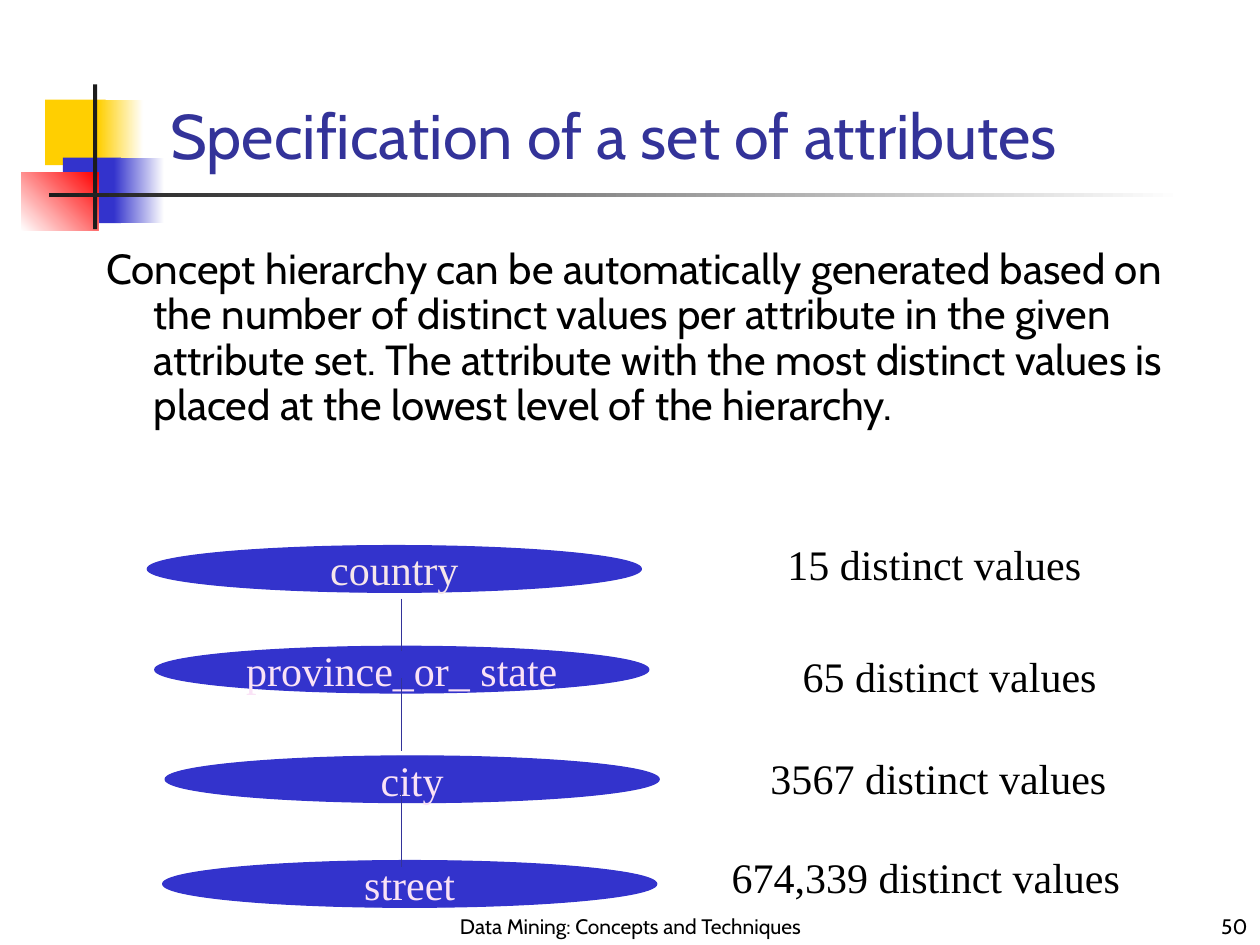
from dataclasses import dataclass

from lxml.etree import SubElement
from pptx import Presentation
from pptx.dml.color import RGBColor
from pptx.enum.shapes import MSO_CONNECTOR, MSO_SHAPE
from pptx.enum.text import MSO_ANCHOR, MSO_AUTO_SIZE, PP_ALIGN
from pptx.oxml.ns import qn
from pptx.util import Cm, Pt


@dataclass(frozen=True)
class Theme:
    sans: str = "Cabin"
    serif: str = "Times New Roman"
    title_size: int = 36
    text_size: int = 24
    footer_size: int = 12
    line_width: float = 0.75
    title: str = "333399"
    text: str = "000000"
    blue: str = "3333CC"
    yellow: str = "FFCF01"
    red: str = "FF0000"
    white: str = "FFFFFF"
    dark: str = "1C1C1C"
    pale_rose: str = "F6E6EA"
    pale_pink: str = "FAE2F6"


THEME = Theme()

# Left, top, width, height in cm; one colour is solid, two make a gradient
ORNAMENT = [
    ((0.91, 2.01, 1.22, 1.32), [THEME.yellow], 0),
    ((1.98, 2.01, 0.91, 1.32), [THEME.yellow, THEME.white], 0),
    ((1.27, 3.18, 1.17, 1.32), [THEME.blue], 0),
    ((2.29, 3.18, 1.02, 1.32), [THEME.blue, THEME.white], 0),
    ((0.43, 3.48, 1.55, 1.17), [THEME.white, THEME.red], 45),
    ((1.88, 1.7, 0.08, 2.92), [THEME.dark], 0),
    ((0.99, 3.89, 22.86, 0.08), [THEME.dark, THEME.white], 0),
]

# Attribute, left, top, text colour
LEVELS = [
    ("country", 2.97, 11, THEME.pale_rose),
    ("province_or_ state", 3.12, 13.03, THEME.pale_pink),
    ("city", 3.33, 15.24, THEME.pale_pink),
    ("street", 3.28, 17.35, THEME.pale_pink),
]
LEVEL_SIZE = (9.96, 0.94)

LINK_X = 8.1
LINKS = [(12.07, 13.13), (13.67, 15.14), (15.93, 17.48)]

# Label, left, top, width
COUNTS = [
    ("15 distinct values", 15.62, 10.74, 6.43),
    ("65 distinct values", 15.93, 12.98, 6.43),
    ("3567 distinct values", 15.29, 15.04, 7.26),
    ("674,339 distinct values", 14.5, 17.04, 8.33),
]
COUNT_HEIGHT = 1.27

BODY = (
    "Concept hierarchy can be automatically generated based on the number of "
    "distinct values per attribute in the given attribute set. The attribute "
    "with the most distinct values is placed at the lowest level of the hierarchy."
)


def lengths(box):
    return [Cm(value) for value in box]


def set_all(target, formats):
    for name, value in formats.items():
        setattr(target, name, value)


def write(sp, text, size, font, color=THEME.text, align=PP_ALIGN.LEFT,
          anchor=MSO_ANCHOR.TOP, wrap=True):
    tf = sp.text_frame
    set_all(tf, {"auto_size": MSO_AUTO_SIZE.NONE, "word_wrap": wrap,
                 "vertical_anchor": anchor})
    p = tf.paragraphs[0]
    p.alignment = align
    r = p.add_run()
    r.text = text
    set_all(r.font, {"size": Pt(size), "name": font})
    r.font.color.rgb = RGBColor.from_string(color)
    return p


def add_text(s, box, *args, **formats):
    return write(s.shapes.add_textbox(*lengths(box)), *args, **formats)


def add_title(s, text):
    sp = s.shapes.title
    set_all(sp, dict(zip(("left", "top", "width", "height"),
                         lengths((3.18, 1.9, 21.64, 1.7)))))
    write(sp, text, THEME.title_size, THEME.sans, THEME.title,
          anchor=MSO_ANCHOR.BOTTOM)


def add_bar(s, box, colors, angle):
    sp = s.shapes.add_shape(MSO_SHAPE.RECTANGLE, *lengths(box))
    sp.shadow.inherit = False
    sp.line.fill.background()
    if len(colors) == 1:
        sp.fill.solid()
        sp.fill.fore_color.rgb = RGBColor.from_string(colors[0])
        return
    sp.fill.gradient()
    sp.fill.gradient_angle = angle
    for stop, color in zip(sp.fill.gradient_stops, colors):
        stop.color.rgb = RGBColor.from_string(color)


def add_body(s, text):
    p = add_text(s, (1.9, 4.88, 21.8, 5.28), text, THEME.text_size, THEME.sans)
    p.line_spacing = 0.9
    pPr = p._p.get_or_add_pPr()
    pPr.set("marL", str(Cm(0.95)))
    pPr.set("indent", str(-Cm(0.95)))


def add_level(s, text, left, top, color):
    sp = s.shapes.add_shape(MSO_SHAPE.OVAL, *lengths((left, top, *LEVEL_SIZE)))
    sp.shadow.inherit = False
    sp.fill.solid()
    sp.fill.fore_color.rgb = RGBColor.from_string(THEME.blue)
    sp.line.color.rgb = RGBColor.from_string(THEME.blue)
    sp.line.width = Pt(THEME.line_width)
    write(sp, text, THEME.text_size, THEME.serif, color, PP_ALIGN.CENTER,
          MSO_ANCHOR.MIDDLE, wrap=False)


def add_link(s, top, bottom):
    line = s.shapes.add_connector(
        MSO_CONNECTOR.STRAIGHT, *lengths((LINK_X, top, LINK_X, bottom)))
    line.line.color.rgb = RGBColor.from_string(THEME.title)
    line.line.width = Pt(THEME.line_width)
    SubElement(line._element.spPr, qn("a:effectLst"))


def add_footer(s, text, left, width, align):
    add_text(s, (left, 17.98, width, 1.07), text, THEME.footer_size, THEME.sans,
             align=align, anchor=MSO_ANCHOR.BOTTOM)


def main():
    prs = Presentation()
    set_all(prs, {"slide_width": Cm(25.4), "slide_height": Cm(19.05)})
    s = prs.slides.add_slide(prs.slide_layouts[5])

    for bar in ORNAMENT:
        add_bar(s, *bar)
    add_footer(s, "Data Mining: Concepts and Techniques", 8.69, 8.05,
               PP_ALIGN.CENTER)
    add_footer(s, "50", 20.12, 5.28, PP_ALIGN.RIGHT)
    add_title(s, "Specification of a set of attributes")
    add_body(s, BODY)
    for level in LEVELS:
        add_level(s, *level)
    for link in LINKS:
        add_link(s, *link)
    for text, left, top, width in COUNTS:
        add_text(s, (left, top, width, COUNT_HEIGHT), text, THEME.text_size,
                 THEME.serif, align=PP_ALIGN.CENTER, wrap=False)

    prs.save("out.pptx")


if __name__ == "__main__":
    main()
